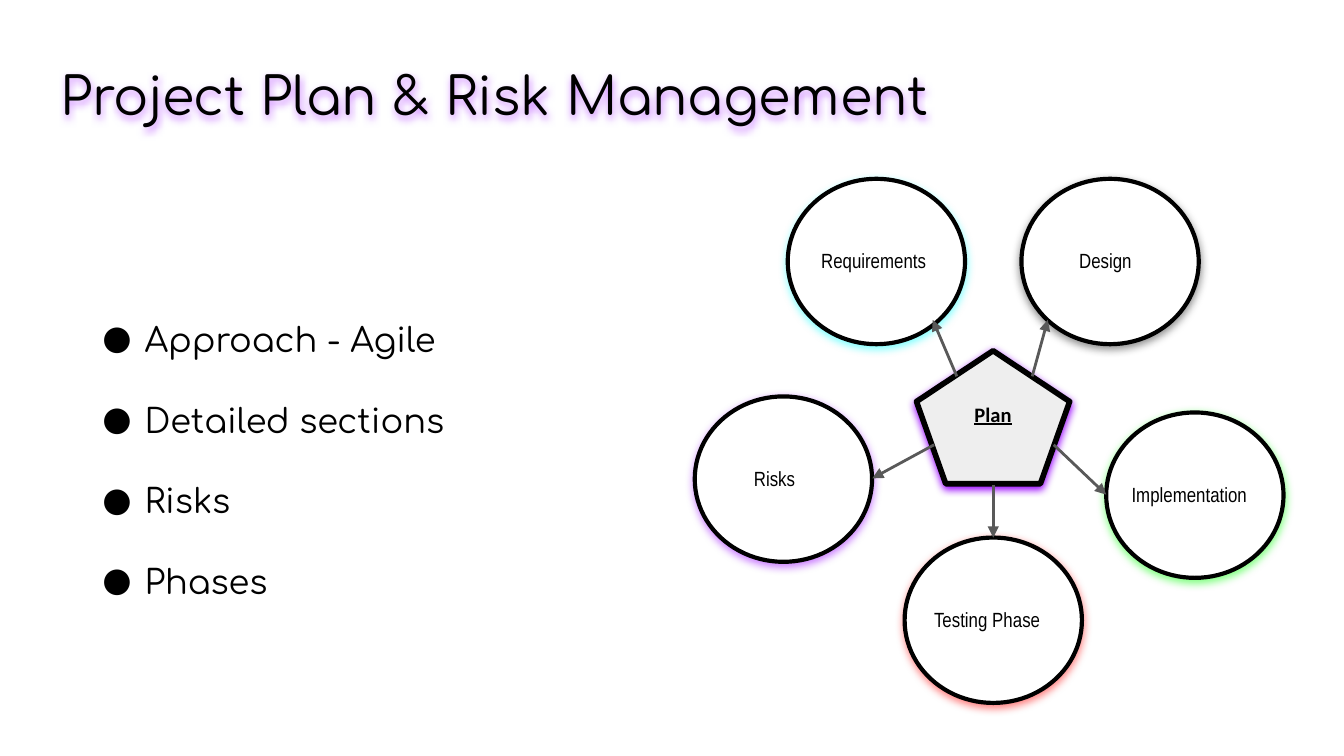
from dataclasses import dataclass

from lxml.etree import SubElement as Sub
from pptx import Presentation
from pptx.dml.color import RGBColor as RGB
from pptx.enum.shapes import MSO_CONNECTOR as Link, MSO_SHAPE as Kind
from pptx.enum.text import MSO_ANCHOR as Anchor, MSO_AUTO_SIZE as Auto, PP_ALIGN as Align
from pptx.oxml.ns import qn
from pptx.util import Pt


@dataclass(frozen=True)
class Theme:
    ink: str = "000000"
    paper: str = "FFFFFF"
    core: str = "EEEEEE"
    arrow: str = "595959"
    violet: str = "9900FF"
    font: str = "Comfortaa"
    small: str = "Arial Narrow"
    hub: str = "Calibri"
    head: int = 28
    body: int = 18
    label: int = 11


T = Theme()
OVAL = (95, 88.6)
POINTS = ["Approach - Agile", "Detailed sections", "Risks", "Phases"]
# name, oval corner, glow, label left and width, arrow start and end
PHASES = [
    ("Requirements", (422, 95.8), "00FFFF", (434.9, 82), (512.6, 201.6), (499.7, 171.4)),
    ("Testing Phase", (484.6, 288), "FF0000", (495.4, 73.4), (532.1, 259.9), (532.1, 288)),
    ("Design", (547.2, 95.8), "212121", (573.1, 51.8), (553, 201.6), (561.3, 171.4)),
    ("Implementation", (592.6, 221), "00FF00", (601.2, 95), (564.5, 238.3), (592.6, 265)),
    ("Risks", (372.2, 212.4), T.violet, (398.9, 42.5), (500.4, 238.3), (467.3, 256.3)),
]


def place(shape, left, top, width, height):
    shape.left, shape.top = Pt(left), Pt(top)
    shape.width, shape.height = Pt(width), Pt(height)


def style(para, name, size, **marks):
    for run in para.runs:
        font = run.font
        font.name, font.size = name, Pt(size)
        font.color.rgb = RGB.from_string(T.ink)
        for key, value in marks.items():
            setattr(font, key, value)


def inset(frame, side, top, base):
    frame.margin_left = frame.margin_right = Pt(side)
    frame.margin_top, frame.margin_bottom = Pt(top), Pt(base)
    frame.word_wrap, frame.auto_size = True, Auto.NONE


def glow(shape, color, alpha=50):
    shape.shadow.inherit = False
    effects = shape._element.spPr.find(qn("a:effectLst"))
    outer = Sub(effects, qn("a:outerShdw"), blurRad=str(Pt(4.5)), dist=str(Pt(1.5)),
                dir="5400000", algn="bl", rotWithShape="0")
    tint = Sub(outer, qn("a:srgbClr"), val=color)
    Sub(tint, qn("a:alpha"), val=str(alpha * 1000))


def bullet(para):
    props = para._p.get_or_add_pPr()
    props.set("marL", str(Pt(27)))
    props.set("indent", str(Pt(-22.5)))
    Sub(Sub(props, qn("a:buClr")), qn("a:srgbClr"), val=T.ink)
    Sub(props, qn("a:buFont"), typeface=T.font)
    Sub(props, qn("a:buChar"), char="●")


def add_title(slide, text):
    title = slide.shapes.title
    place(title, 27.4, 13.7, 620.6, 78.5)
    frame = title.text_frame
    inset(frame, 5, 2.7, 2.7)
    frame.vertical_anchor = Anchor.MIDDLE
    frame.text = text
    para = frame.paragraphs[0]
    para.alignment, para.line_spacing = Align.LEFT, 0.9
    style(para, T.font, T.head)
    glow(title, T.violet)


def add_list(slide, items):
    body = slide.placeholders[1]
    place(body, 45.4, 126.7, 201.6, 202.3)
    frame = body.text_frame
    inset(frame, 5, 5, 7)
    frame.vertical_anchor = Anchor.BOTTOM
    frame.text = "\n".join(items)
    for i, para in enumerate(frame.paragraphs):
        bullet(para)
        para.line_spacing = Pt(20)
        para.space_before = Pt(23.2 if i else 0)
        style(para, T.font, T.body)


def add_node(slide, kind, spot, size, fill, width, color, alpha=50):
    node = slide.shapes.add_shape(kind, *map(Pt, spot + size))
    node.fill.solid()
    node.fill.fore_color.rgb = RGB.from_string(fill)
    node.line.color.rgb = RGB.from_string(T.ink)
    node.line.width = Pt(width)
    glow(node, color, alpha)


def add_arrow(slide, start, end):
    arrow = slide.shapes.add_connector(Link.STRAIGHT, *map(Pt, start + end))
    arrow.line.color.rgb = RGB.from_string(T.arrow)
    arrow.line.width = Pt(1.5)
    Sub(arrow.line._get_or_add_ln(), qn("a:tailEnd"), type="triangle")
    Sub(arrow._element.spPr, qn("a:effectLst"))


def add_label(slide, text, left, top, width, name, **marks):
    box = slide.shapes.add_textbox(Pt(left), Pt(top), Pt(width), Pt(24.5))
    frame = box.text_frame
    inset(frame, 5, 5, 5)
    frame.text = text
    style(frame.paragraphs[0], name, T.label, **marks)


def main():
    deck = Presentation()
    deck.slide_width, deck.slide_height = Pt(720), Pt(405)
    slide = deck.slides.add_slide(deck.slide_layouts[1])

    # Title and list
    add_title(slide, "Project Plan & Risk Management")
    add_list(slide, POINTS)

    # Phases around the plan
    for _, spot, color, *_ in PHASES:
        add_node(slide, Kind.OVAL, spot, OVAL, T.paper, 2.25, color)
    add_node(slide, Kind.REGULAR_PENTAGON, (491, 187.9), (82.1, 71.3),
             T.core, 3, T.violet, 100)

    # Arrows and labels
    for *_, start, end in PHASES:
        add_arrow(slide, start, end)
    for text, (_, top), _, (left, width), *_ in PHASES:
        add_label(slide, text, left, top + 32.2, width, T.small)
    add_label(slide, "Plan", 517, 210.2, 42.5, T.hub, bold=True, underline=True)

    deck.save("out.pptx")


if __name__ == "__main__":
    main()
